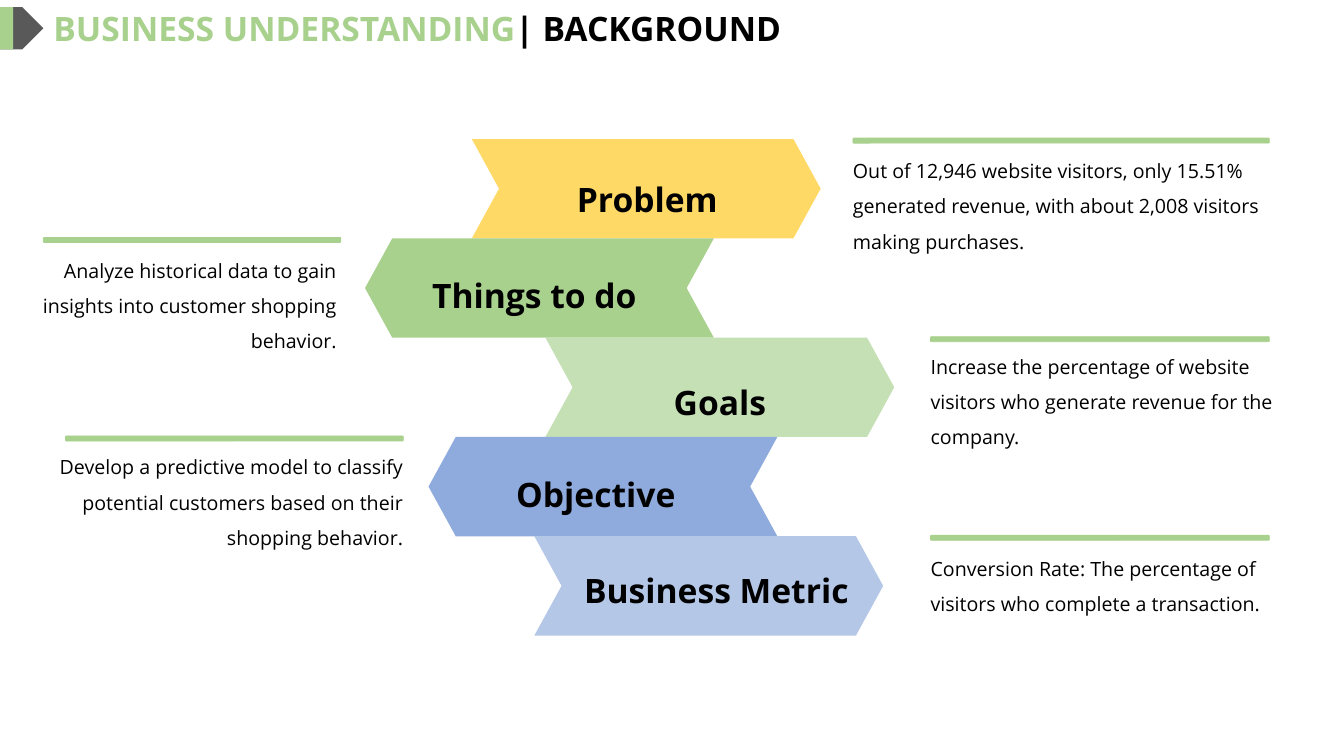
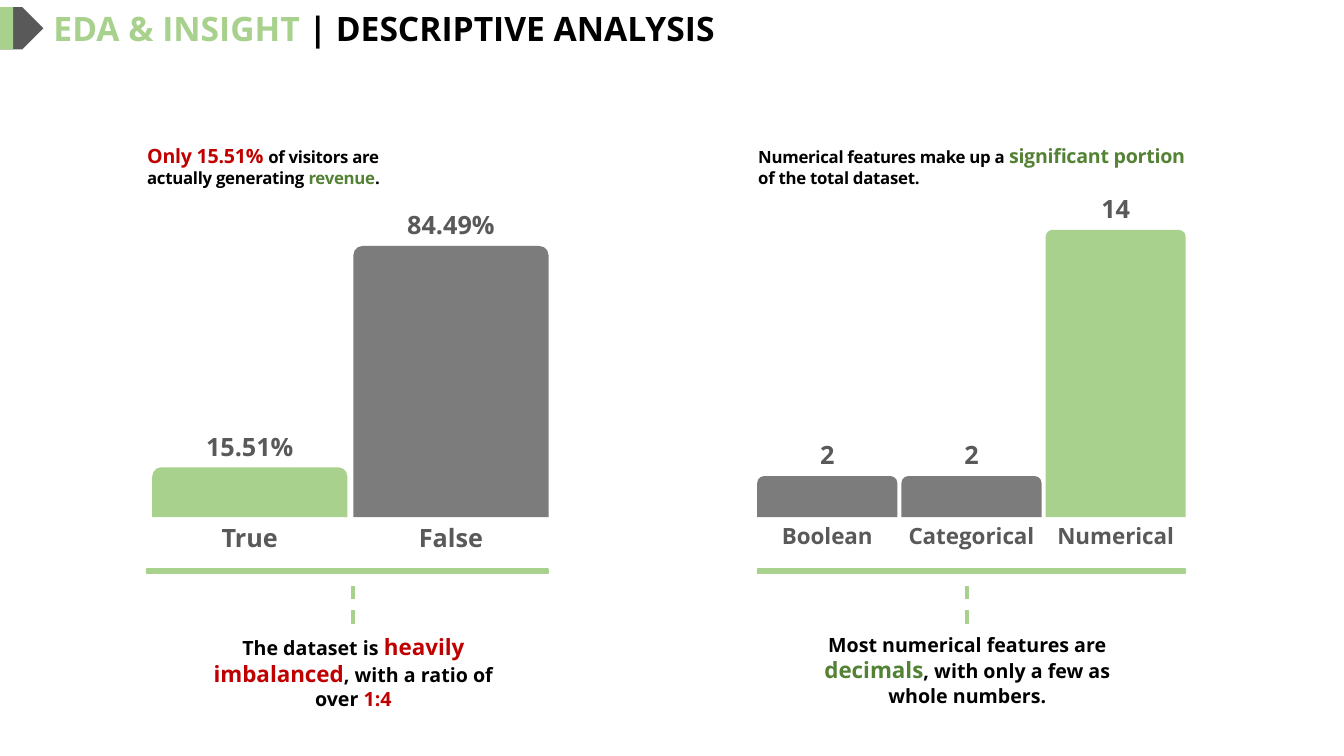
"""Build two slides: the business background and a descriptive analysis of the dataset."""
from lxml import etree
from pptx import Presentation
from pptx.dml.color import RGBColor
from pptx.enum.dml import MSO_LINE
from pptx.enum.shapes import MSO_CONNECTOR, MSO_SHAPE as SHAPE
from pptx.enum.text import MSO_ANCHOR as ANCHOR, MSO_AUTO_SIZE, PP_ALIGN as ALIGN
from pptx.oxml.ns import qn
from pptx.util import Inches, Pt

FONT = "Open Sans"
GREEN = RGBColor(0xA9, 0xD1, 0x8E)
PALE_GREEN = RGBColor(0xC5, 0xE0, 0xB4)
DARK_GREEN = RGBColor(0x54, 0x82, 0x35)
YELLOW = RGBColor(0xFF, 0xD9, 0x66)
BLUE = RGBColor(0x8F, 0xAA, 0xDC)
PALE_BLUE = RGBColor(0xB4, 0xC7, 0xE7)
RED = RGBColor(0xC0, 0x00, 0x00)
GRAY = RGBColor(0x7C, 0x7C, 0x7C)
DARK_GRAY = RGBColor(0x59, 0x59, 0x59)
BLACK = RGBColor(0x00, 0x00, 0x00)

BACKGROUND_TITLE = [("BUSINESS UNDERSTANDING", GREEN), ("| BACKGROUND", BLACK)]
ANALYSIS_TITLE = [("EDA & INSIGHT ", GREEN), ("| DESCRIPTIVE ANALYSIS", BLACK)]

STEPS = [
    dict(name="Problem", color=YELLOW, left=4.68, points="right",
         label=(4.92, 1.45, 3, 51.9), rule=(8.46, 12.59), note_at=(8.46, 1.46, 4.32),
         note="Out of 12,946 website visitors, only 15.51% generated revenue, "
              "with about 2,008 visitors making purchases."),
    dict(name="Things to do", color=GREEN, left=3.62, points="left",
         label=(3.55, 2.54, 3.5, 42.2), rule=(0.43, 3.38), note_at=(0.27, 2.45, 3.07),
         note="Analyze historical data to gain insights into customer shopping behavior."),
    dict(name="Goals", color=PALE_GREEN, left=5.41, points="right",
         label=(5.64, 3.47, 3, 51.9), rule=(9.23, 12.59), note_at=(9.23, 3.4, 3.83),
         note="Increase the percentage of website visitors who generate revenue "
              "for the company."),
    dict(name="Objective", color=BLUE, left=4.25, points="left",
         label=(4.41, 4.38, 3, 51.9), rule=(0.65, 4), note_at=(0.27, 4.4, 3.73),
         note="Develop a predictive model to classify potential customers based on "
              "their shopping behavior."),
    dict(name="Business Metric", color=PALE_BLUE, left=5.3, points="right",
         label=(5.44, 5.47, 3.33, 42.2), rule=(9.23, 12.59), note_at=(9.23, 5.41, 3.83),
         note="Conversion Rate: The percentage of visitors who complete a transaction."),
]
STEP_TOP, STEP_W, STEP_H, NOTCH = 1.38, 3.46, 0.985, 0.27

PANELS = [
    dict(left=1.45, width=3.99, inset=0.06, gap=0.06, tallest=2.69, radius=0.09,
         stem=3.5, headline_w=2.93, name_size=18,
         bars=[("True", 15.51, "15.51%", GREEN), ("False", 84.49, "84.49%", GRAY)],
         headline=[("Only 15.51% ", 14, RED),
                   ("of visitors are actually generating ", 12, BLACK),
                   ("revenue", 12, DARK_GREEN), (".", 12, BLACK)],
         finding=[("The dataset is ", 14, BLACK), ("heavily imbalanced", 16, RED),
                  (", with a ratio of over ", 14, BLACK), ("1:4", 14, RED)]),
    dict(left=7.51, width=4.25, inset=0, gap=0.04, tallest=2.85, radius=0.07,
         stem=9.59, headline_w=4.25, name_size=16,
         bars=[("Boolean", 2, "2", GRAY), ("Categorical", 2, "2", GRAY),
               ("Numerical", 14, "14", GREEN)],
         headline=[("Numerical features make up a ", 12, BLACK),
                   ("significant portion ", 14, DARK_GREEN),
                   ("of the total dataset.", 12, BLACK)],
         finding=[("Most numerical features are ", 14, BLACK),
                  ("decimals", 16, DARK_GREEN),
                  (", with only a few as whole numbers.", 14, BLACK)]),
]
BASELINE, RULE_Y, HEADLINE_Y, FINDING_Y, FINDING_W = 5.13, 5.64, 1.42, 6.27, 2.93
STEM_TOP, STEM_BOTTOM = 5.73, 6.19


def add_block(slide, kind, x, y, w, h, color, adjust=None):
    """Add a flat, filled preset shape."""
    sp = slide.shapes.add_shape(kind, Inches(x), Inches(y), Inches(w), Inches(h))
    sp.shadow.inherit = False
    sp.fill.solid()
    sp.fill.fore_color.rgb = color
    sp.line.fill.background()
    if adjust is not None:
        sp.adjustments[0] = adjust
    return sp


def add_rule(slide, x, y, w):
    """Add a thin green rounded rule."""
    sp = add_block(slide, SHAPE.ROUNDED_RECTANGLE, x, y, w, 0.05, GREEN)
    sp.line.color.rgb = GREEN
    sp.line.width = Pt(0.5)


def set_insets(tf, left, top, right, bottom):
    """Set the four text margins in inches."""
    tf.margin_left, tf.margin_top = Inches(left), Inches(top)
    tf.margin_right, tf.margin_bottom = Inches(right), Inches(bottom)


def add_text(slide, x, y, w, h, text="", size=14, color=BLACK, bold=True,
             align=ALIGN.CENTER, insets=(0, 0, 0, 0)):
    """Add a wrapping one-paragraph text box and return the paragraph."""
    box = slide.shapes.add_textbox(Inches(x), Inches(y), Inches(w), Inches(h))
    tf = box.text_frame
    tf.word_wrap = True
    set_insets(tf, *insets)
    p = tf.paragraphs[0]
    p.text = text
    p.alignment = align
    p.font.name, p.font.size, p.font.bold = FONT, Pt(size), bold
    p.font.color.rgb = color
    return p


def add_rich_text(slide, x, y, w, h, runs, align, spacing=None):
    """Add a bold text box whose runs differ in size and colour."""
    p = add_text(slide, x, y, w, h, align=align, insets=(0.01, 0.01, 0, 0))
    p.space_before = Pt(1.1)
    for text, size, color in runs:
        r = p.add_run()
        r.text = text
        r.font.name, r.font.size, r.font.bold = FONT, Pt(size), True
        r.font.color.rgb = color
        if spacing:
            r.font._element.set("spc", str(spacing))


def add_titled_slide(prs, title):
    """Add a title-only slide with the arrow marker and a two-colour title."""
    slide = prs.slides.add_slide(prs.slide_layouts[5])
    sp = slide.shapes.title
    sp.left, sp.top, sp.width, sp.height = map(Inches, (0.43, 0.03, 11.05, 0.5))
    tf = sp.text_frame
    tf.word_wrap = True
    tf.auto_size = MSO_AUTO_SIZE.NONE
    tf.vertical_anchor = ANCHOR.TOP
    set_insets(tf, 0.1, 0.05, 0.1, 0.05)
    p = tf.paragraphs[0]
    p.alignment = ALIGN.LEFT
    for text, color in title:
        r = p.add_run()
        r.text = text
        r.font.name, r.font.size, r.font.bold = FONT, Pt(24), True
        r.font.color.rgb = color
    add_block(slide, SHAPE.PENTAGON, 0, 0.07, 0.43, 0.42, DARK_GRAY)
    add_block(slide, SHAPE.RECTANGLE, 0, 0.07, 0.13, 0.42, GREEN)
    return slide


def add_step(slide, row, step):
    """Add one chevron with its label, rule and note."""
    y = STEP_TOP + row * STEP_H
    to_left = step["points"] == "left"
    sp = add_block(slide, SHAPE.CHEVRON, step["left"], y, STEP_W, STEP_H,
                   step["color"], NOTCH / STEP_H)
    sp.rotation = 180 if to_left else 0
    x, label_y, w, leading = step["label"]
    p = add_text(slide, x, label_y, w, leading / 72, step["name"], 24)
    p.line_spacing = Pt(leading)
    start, end = step["rule"]
    add_rule(slide, start, y - 0.01, end - start)
    p = add_text(slide, *step["note_at"], 1.02, step["note"], bold=False,
                 align=ALIGN.RIGHT if to_left else ALIGN.LEFT)
    p.line_spacing = 1.5


def add_stem(slide, x):
    """Add the dashed line that leads from a rule to its finding."""
    line = slide.shapes.add_connector(MSO_CONNECTOR.STRAIGHT, Inches(x),
                                      Inches(STEM_BOTTOM), Inches(x), Inches(STEM_TOP))
    line.line.color.rgb = GREEN
    line.line.width = Pt(2.5)
    line.line.dash_style = MSO_LINE.DASH
    etree.SubElement(line._element.spPr, qn("a:effectLst"))


def add_panel(slide, panel):
    """Add a bar panel with its headline, bars, rule and finding."""
    bars, gap, left = panel["bars"], panel["gap"], panel["left"]
    bar_w = (panel["width"] - panel["inset"] - gap * (len(bars) - 1)) / len(bars)
    scale = panel["tallest"] / max(value for _, value, _, _ in bars)
    insets = (0, 0.05, 0, 0.05)
    add_rich_text(slide, left, HEADLINE_Y, panel["headline_w"], 0.45,
                  panel["headline"], ALIGN.LEFT, -20)
    for i, (name, value, shown, color) in enumerate(bars):
        x = left + panel["inset"] + i * (bar_w + gap)
        h = value * scale
        add_block(slide, SHAPE.ROUND_2_SAME_RECTANGLE, x, BASELINE - h, bar_w, h,
                  color, panel["radius"] / min(bar_w, h))
        add_text(slide, x, BASELINE - h - 0.41, bar_w, 0.4, shown, 18, DARK_GRAY,
                 insets=insets)
        add_text(slide, x, BASELINE, bar_w, 0.4, name, panel["name_size"], DARK_GRAY,
                 insets=insets)
    add_rule(slide, left, RULE_Y, panel["width"])
    add_stem(slide, panel["stem"])
    add_rich_text(slide, panel["stem"] - FINDING_W / 2, FINDING_Y, FINDING_W, 0.79,
                  panel["finding"], ALIGN.CENTER)


def main():
    """Build and save the presentation."""
    prs = Presentation()
    prs.slide_width, prs.slide_height = Inches(13.33), Inches(7.5)
    slide = add_titled_slide(prs, BACKGROUND_TITLE)
    for row, step in enumerate(STEPS):
        add_step(slide, row, step)
    slide = add_titled_slide(prs, ANALYSIS_TITLE)
    for panel in PANELS:
        add_panel(slide, panel)
    prs.save("out.pptx")


if __name__ == "__main__":
    main()
